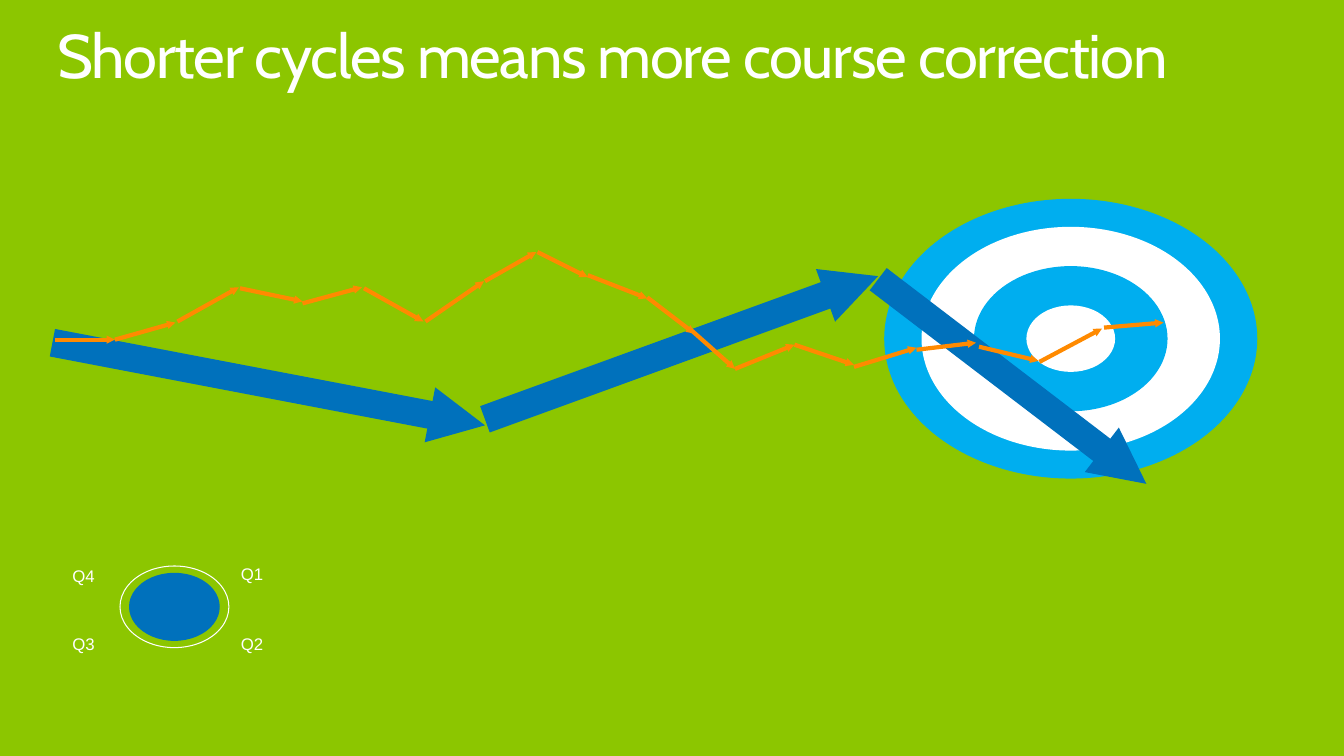
from dataclasses import dataclass

from lxml.etree import SubElement
from pptx import Presentation
from pptx.dml.color import RGBColor
from pptx.enum.shapes import MSO_CONNECTOR, MSO_SHAPE
from pptx.enum.text import MSO_ANCHOR, PP_ALIGN
from pptx.oxml.ns import qn
from pptx.util import Inches, Pt


@dataclass(frozen=True)
class Theme:
    ground: str = "8CC600"
    sky: str = "00AEEF"
    blue: str = "0071BC"
    orange: str = "FF8A00"
    white: str = "FFFFFF"
    head: str = "Cabin"
    body: str = "Arial"
    big: int = 44
    small: int = 12
    thick: int = 20
    thin: int = 3


RATIO = 0.75  # height to width of every oval

# Start x, start y, end x, end y
LONG = [
    (8.71, 2.77, 11.37, 4.8),
    (4.81, 4.16, 8.71, 2.74),
    (0.52, 3.4, 4.81, 4.22),
]
SHORT = [
    (0.55, 3.37, 1.14, 3.37),
    (1.14, 3.37, 1.74, 3.2),
    (1.76, 3.19, 2.37, 2.85),
    (2.38, 2.86, 3, 2.99),
    (3, 3.01, 3.59, 2.85),
    (3.61, 2.86, 4.2, 3.19),
    (4.22, 3.19, 4.8, 2.79),
    (4.81, 2.79, 5.32, 2.5),
    (5.33, 2.5, 5.83, 2.75),
    (5.83, 2.73, 6.42, 2.96),
    (6.42, 2.95, 6.89, 3.31),
    (6.85, 3.27, 7.29, 3.66),
    (7.29, 3.66, 7.88, 3.42),
    (7.88, 3.42, 8.47, 3.62),
    (8.47, 3.64, 9.09, 3.45),
    (9.09, 3.47, 9.68, 3.4),
    (9.71, 3.44, 10.3, 3.58),
    (10.31, 3.59, 10.93, 3.26),
    (10.95, 3.25, 11.54, 3.2),
]
LABELS = [
    ("Q1", 2.29, 5.54),
    ("Q2", 2.29, 6.24),
    ("Q3", 0.62, 6.24),
    ("Q4", 0.62, 5.56),
]


class Board:
    """Draws on one slide; each element goes into the given host."""

    def __init__(self, slide, theme):
        self.slide = slide
        self.theme = theme
        self.root = slide.shapes
        fill = slide.background.fill
        fill.solid()
        fill.fore_color.rgb = RGBColor.from_string(theme.ground)

    def group(self):
        return self.root.add_group_shape().shapes

    def style(self, frame, font, size):
        for run in frame.paragraphs[0].runs:
            run.font.name = font
            run.font.size = Pt(size)
            run.font.bold = False
            run.font.color.rgb = RGBColor.from_string(self.theme.white)

    def title(self, text):
        shape = self.root.title
        shape.left, shape.top = Inches(0.57), Inches(0.25)
        shape.width, shape.height = Inches(12.19), Inches(0.68)
        frame = shape.text_frame
        frame.text = text
        frame.word_wrap = True
        frame.vertical_anchor = MSO_ANCHOR.TOP
        frame.margin_left = frame.margin_right = 0
        frame.margin_top = frame.margin_bottom = 0
        line = frame.paragraphs[0]
        line.alignment = PP_ALIGN.LEFT
        line.line_spacing = 0.9
        self.style(frame, self.theme.head, self.theme.big)
        line.runs[0].font._element.set("spc", "-100")

    def oval(self, host, x, y, width, fill=None, line=None):
        """Draw an oval around the centre x, y."""
        height = width * RATIO
        shape = host.add_shape(
            MSO_SHAPE.OVAL, Inches(x - width / 2), Inches(y - height / 2),
            Inches(width), Inches(height))
        shape.shadow.inherit = False
        if fill:
            shape.fill.solid()
            shape.fill.fore_color.rgb = RGBColor.from_string(fill)
        else:
            shape.fill.background()
        if line:
            shape.line.color.rgb = RGBColor.from_string(line)
            shape.line.width = Pt(0.75)
        else:
            shape.line.fill.background()

    def arrow(self, host, ends, color, width):
        shape = host.add_connector(
            MSO_CONNECTOR.STRAIGHT, *(Inches(end) for end in ends))
        shape.line.color.rgb = RGBColor.from_string(color)
        shape.line.width = Pt(width)
        tip = SubElement(shape.line._get_or_add_ln(), qn("a:tailEnd"))
        for key, value in (("type", "triangle"), ("w", "sm"), ("len", "sm")):
            tip.set(key, value)
        SubElement(shape._element.spPr, qn("a:effectLst"))

    def label(self, text, x, y):
        box = self.root.add_textbox(
            Inches(x), Inches(y), Inches(0.43), Inches(0.3))
        frame = box.text_frame
        frame.text = text
        frame.word_wrap = False
        self.style(frame, self.theme.body, self.theme.small)


def main():
    deck = Presentation()
    deck.slide_width, deck.slide_height = Inches(13.33), Inches(7.5)
    theme = Theme()
    board = Board(deck.slides.add_slide(deck.slide_layouts[5]), theme)
    board.title("Shorter cycles means more course correction")

    target = board.group()
    for index, width in enumerate((3.7, 2.96, 1.92, 0.88)):
        fill = theme.white if index % 2 else theme.sky
        board.oval(target, 10.62, 3.36, width, fill)
    for ends in LONG:
        board.arrow(board.root, ends, theme.blue, theme.thick)

    board.oval(board.root, 1.73, 6.02, 0.9, fill=theme.blue)
    board.oval(board.root, 1.73, 6.02, 1.08, line=theme.white)
    for text, x, y in LABELS:
        board.label(text, x, y)

    route = board.group()
    for ends in SHORT:
        board.arrow(route, ends, theme.orange, theme.thin)
    deck.save("out.pptx")


if __name__ == "__main__":
    main()
